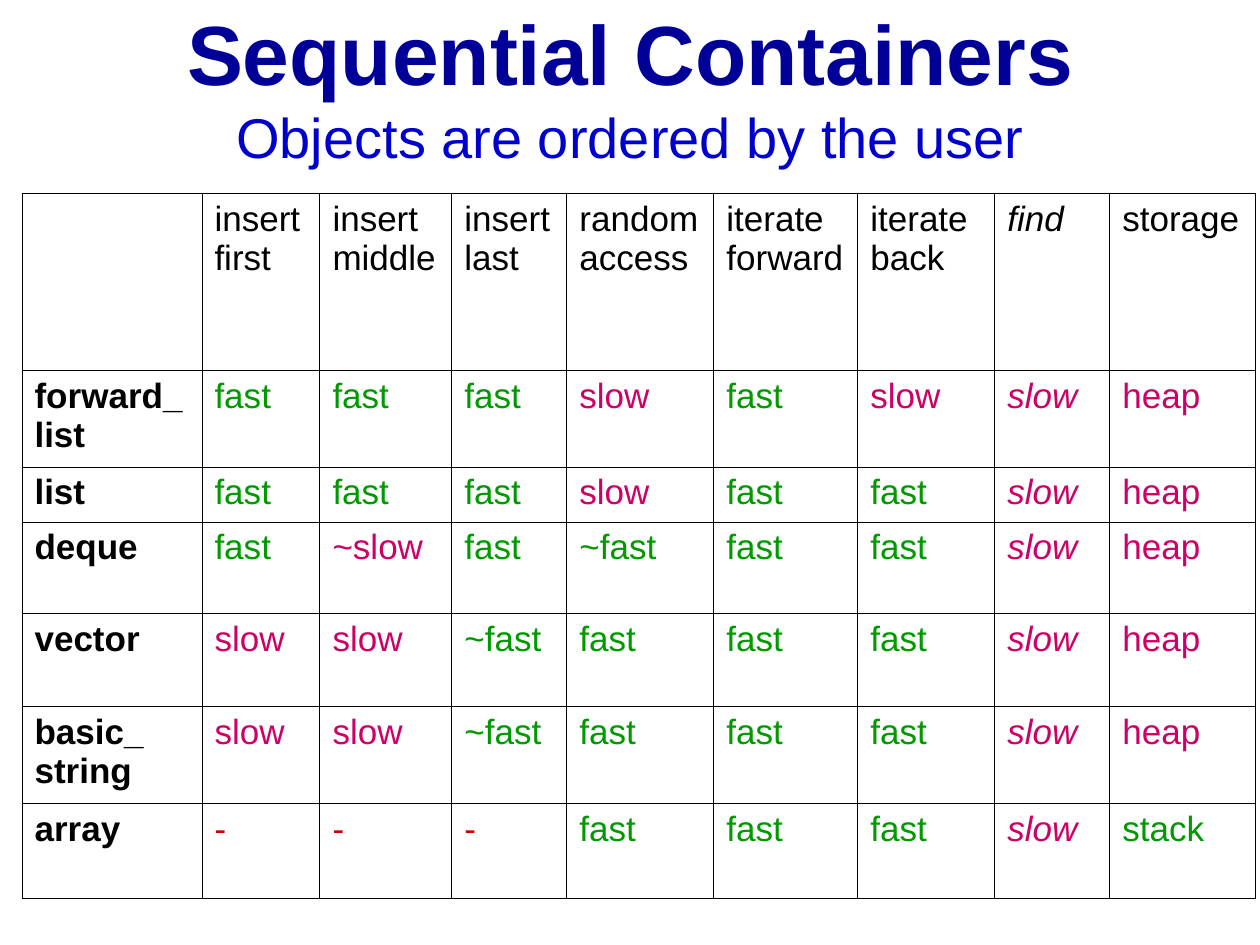
from lxml.etree import SubElement
from pptx import Presentation
from pptx.dml.color import RGBColor
from pptx.enum.text import MSO_ANCHOR, MSO_AUTO_SIZE, PP_ALIGN
from pptx.oxml.ns import qn
from pptx.util import Pt

PX = 914400 // 126
COLORS = {
    "title": "000099", "subtitle": "0000CC", "label": "000000", "border": "000000",
    "good": "009900", "bad": "CC0066", "missing": "CC0000",
}
RATINGS = {
    "fast": "good", "~fast": "good", "stack": "good",
    "slow": "bad", "~slow": "bad", "heap": "bad", "-": "missing",
}
TITLE = "Sequential Containers"
SUBTITLE = "Objects are ordered by the user"
ROWS = [
    ["", "insert first", "insert middle", "insert last", "random access",
     "iterate forward", "iterate back", "find", "storage"],
    ["forward_\vlist", "fast", "fast", "fast", "slow", "fast", "slow", "slow", "heap"],
    ["list", "fast", "fast", "fast", "slow", "fast", "fast", "slow", "heap"],
    ["deque", "fast", "~slow", "fast", "~fast", "fast", "fast", "slow", "heap"],
    ["vector", "slow", "slow", "~fast", "fast", "fast", "fast", "slow", "heap"],
    ["basic_\vstring", "slow", "slow", "~fast", "fast", "fast", "fast", "slow", "heap"],
    ["array", "-", "-", "-", "fast", "fast", "fast", "slow", "stack"],
]
COLUMN_WIDTHS = [180, 118, 132, 115, 147, 144, 137, 115, 146]
ROW_HEIGHTS = [177, 97, 55, 92, 93, 97, 95]
FIND_COLUMN = ROWS[0].index("find")


def format_run(run, size, color, bold=False, italic=False):
    font = run.font
    font.name = "Arial"
    font.size = Pt(size)
    font.bold = bold
    font.italic = italic
    font.color.rgb = RGBColor.from_string(COLORS[color])


def add_borders(cell):
    properties = cell._tc.get_or_add_tcPr()
    for side in ("a:lnL", "a:lnR", "a:lnT", "a:lnB"):
        line = SubElement(properties, qn(side), w=str(Pt(0.57)))
        fill = SubElement(line, qn("a:solidFill"))
        SubElement(fill, qn("a:srgbClr"), val=COLORS["border"])


def add_title(slide):
    title = slide.shapes.title
    title.left, title.top, title.width, title.height = (
        value * PX for value in (76, -4, 1109, 180))
    text_frame = title.text_frame
    text_frame.text = f"{TITLE}\v{SUBTITLE}"
    text_frame.word_wrap = True
    text_frame.auto_size = MSO_AUTO_SIZE.NONE
    text_frame.vertical_anchor = MSO_ANCHOR.MIDDLE
    paragraph = text_frame.paragraphs[0]
    paragraph.alignment = PP_ALIGN.CENTER
    heading, subheading = paragraph.runs
    format_run(heading, 48, "title", bold=True)
    format_run(subheading, 32, "subtitle")


def add_container_table(slide):
    table = slide.shapes.add_table(
        len(ROWS), len(COLUMN_WIDTHS), 22 * PX, 193 * PX,
        sum(COLUMN_WIDTHS) * PX, sum(ROW_HEIGHTS) * PX).table
    table.first_row = False
    table.horz_banding = False
    for column, width in zip(table.columns, COLUMN_WIDTHS):
        column.width = width * PX
    for row, height in zip(table.rows, ROW_HEIGHTS):
        row.height = height * PX
    for row_index, texts in enumerate(ROWS):
        for column_index, text in enumerate(texts):
            cell = table.cell(row_index, column_index)
            cell.text_frame.text = text
            for run in cell.text_frame.paragraphs[0].runs:
                format_run(run, 20, RATINGS.get(text, "label"),
                           bold=column_index == 0, italic=column_index == FIND_COLUMN)
            add_borders(cell)
            cell.fill.background()


def main():
    presentation = Presentation()
    presentation.slide_width = 1260 * PX
    presentation.slide_height = 945 * PX
    slide = presentation.slides.add_slide(presentation.slide_layouts[5])
    add_title(slide)
    add_container_table(slide)
    presentation.save("out.pptx")


if __name__ == "__main__":
    main()
